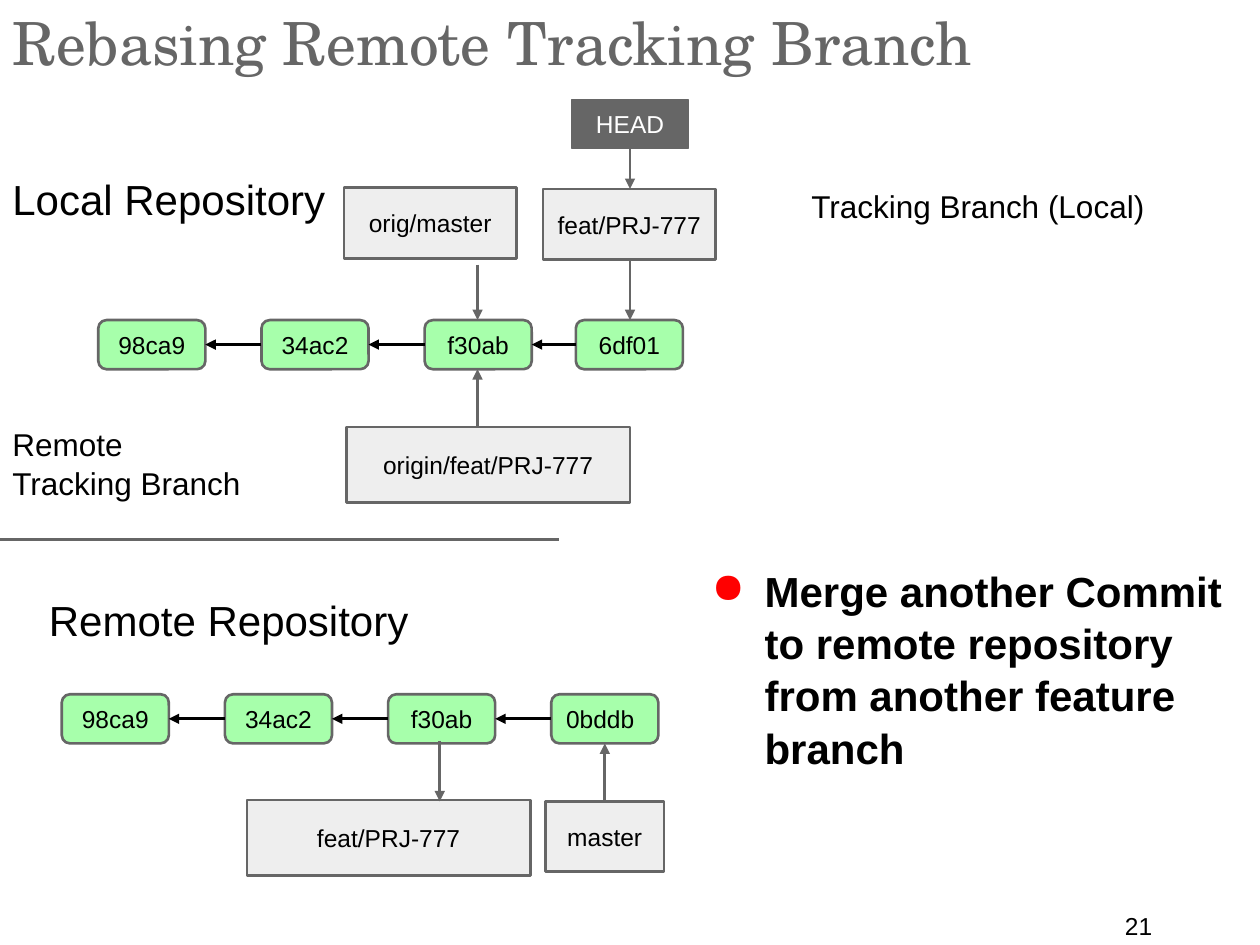
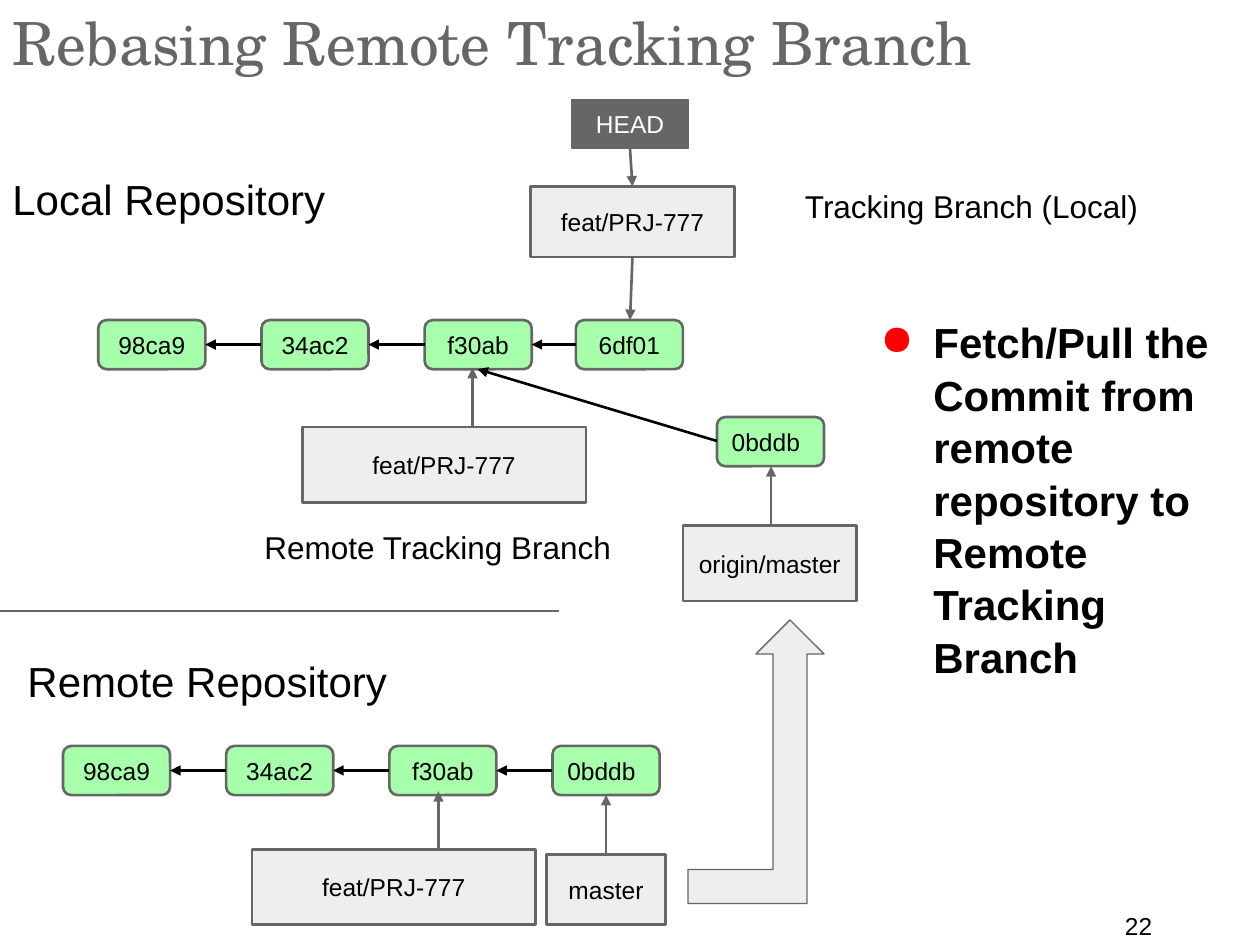
from dataclasses import dataclass
from typing import Any, Optional

from lxml import etree
from pptx import Presentation
from pptx.dml.color import RGBColor
from pptx.enum.shapes import MSO_CONNECTOR, MSO_SHAPE
from pptx.enum.text import MSO_ANCHOR, MSO_AUTO_SIZE, PP_ALIGN
from pptx.oxml.ns import qn
from pptx.util import Inches, Pt

RECTANGLE = MSO_SHAPE.RECTANGLE
ROUNDED = MSO_SHAPE.ROUNDED_RECTANGLE
BENT_ARROW = MSO_SHAPE.BENT_UP_ARROW
STRAIGHT = MSO_CONNECTOR.STRAIGHT
TOP, MIDDLE = MSO_ANCHOR.TOP, MSO_ANCHOR.MIDDLE
LEFT, CENTER = PP_ALIGN.LEFT, PP_ALIGN.CENTER
NO_FIT = MSO_AUTO_SIZE.NONE

SLIDE_WIDTH, SLIDE_HEIGHT = Inches(10), Inches(7.5)
COLUMN, ROW = SLIDE_WIDTH / 100, SLIDE_HEIGHT / 75
COLORS = {
    "grey": "666666",
    "light": "EEEEEE",
    "green": "A7FFAB",
    "black": "000000",
    "white": "FFFFFF",
    "bullet": "FF0000",
}
BODY_FONT, TITLE_FONT = "Arial", "TeX Gyre Schola"
TITLE = "Rebasing Remote Tracking Branch"
TITLE_ONLY_LAYOUT = 5
LEFT_SITE, RIGHT_SITE = 1, 3
COMMIT_WIDTH, COMMIT_HEIGHT, COMMIT_PITCH = 8.5, 3.9, 12.95
DIVIDER_END = 44.4


@dataclass(frozen=True)
class Box:
    column: float
    row: float
    columns: float
    rows: float
    text: str = ""
    fill: str = "light"
    color: str = "black"
    line_width: float = 1.5
    kind: Any = RECTANGLE
    align: Any = CENTER


@dataclass(frozen=True)
class Label:
    column: float
    row: float
    columns: float
    rows: float
    text: str
    size: int = 18
    bullet: bool = False
    margin: float = 0.1


@dataclass(frozen=True)
class Line:
    column: float
    row: float
    end_column: float
    end_row: float
    color: str = "grey"
    arrow: bool = True


@dataclass(frozen=True)
class CommitRow:
    row: float
    columns: tuple[float, ...]
    names: tuple[str, ...]


@dataclass(frozen=True)
class Scene:
    number: int
    commits: tuple[CommitRow, ...]
    boxes: tuple[Box, ...]
    labels: tuple[Label, ...]
    lines: tuple[Line, ...]


def evenly_spaced(start: float, count: int) -> tuple[float, ...]:
    return tuple(start + COMMIT_PITCH * index for index in range(count))


def commit(column: float, row: float, name: str) -> Box:
    align = LEFT if name == "0bddb" else CENTER
    return Box(column, row, COMMIT_WIDTH, COMMIT_HEIGHT, name, "green",
               kind=ROUNDED, align=align)


LOCAL_COMMITS = CommitRow(25.4, evenly_spaced(7.8, 3) + (45.7,),
                          ("98ca9", "34ac2", "f30ab", "6df01"))
REMOTE_NAMES = ("98ca9", "34ac2", "f30ab", "0bddb")
HEAD = Box(45.4, 7.9, 9.2, 3.9, "HEAD", "grey", "white", 0.75)
LOCAL_LABEL = Label(0, 12.6, 29.2, 6, "Local Repository", 24)

SCENES = (
    Scene(
        21,
        (LOCAL_COMMITS, CommitRow(55.1, evenly_spaced(4.9, 4), REMOTE_NAMES)),
        (
            HEAD,
            Box(43.1, 15, 13.7, 5.6, "feat/PRJ-777"),
            Box(27.3, 14.9, 13.7, 5.6, "orig/master"),
            Box(27.5, 33.9, 22.5, 6, "origin/feat/PRJ-777"),
            Box(19.6, 63.5, 22.5, 6, "feat/PRJ-777"),
            Box(43.3, 63.6, 9.4, 5.6, "master"),
        ),
        (
            LOCAL_LABEL,
            Label(2.9, 46, 35, 6, "Remote Repository", 24),
            Label(0, 32.6, 20.7, 7.7, "Remote Tracking Branch"),
            Label(63.4, 13.7, 33.2, 7.7, "Tracking Branch (Local)"),
            Label(54.7, 43.7, 45.3, 21.5,
                  "Merge another Commit to remote repository from another "
                  "feature branch", 24, True),
        ),
        (
            Line(50, 11.8, 50, 15),
            Line(50, 20.6, 50, 25.4),
            Line(37.9, 21, 37.9, 25.4),
            Line(37.9, 33.9, 37.9, 29.3),
            Line(34.9, 58.8, 34.9, 63.6),
            Line(48, 63.6, 48, 59),
            Line(0, 42.8, DIVIDER_END, 42.8, arrow=False),
        ),
    ),
    Scene(
        22,
        (LOCAL_COMMITS, CommitRow(59.2, evenly_spaced(5, 4), REMOTE_NAMES)),
        (
            HEAD,
            Box(42.1, 14.8, 16.2, 5.6, "feat/PRJ-777"),
            Box(24, 33.9, 22.5, 6, "feat/PRJ-777"),
            commit(56.9, 33.1, "0bddb"),
            Box(54.2, 41.7, 13.8, 6, "origin/master"),
            Box(20, 67.4, 22.5, 6, "feat/PRJ-777"),
            Box(43.4, 67.8, 9.4, 5.6, "master"),
            Box(54.6, 49.2, 10.8, 22.5, line_width=0.75, kind=BENT_ARROW),
        ),
        (
            LOCAL_LABEL,
            Label(1.2, 50.9, 35, 6, "Remote Repository", 24),
            Label(20, 40.8, 30.6, 7.7, "Remote Tracking Branch"),
            Label(62.9, 13.7, 33.2, 7.7, "Tracking Branch (Local)"),
            Label(68.1, 24, 30.6, 49.3,
                  "Fetch/Pull the Commit from remote repository to Remote "
                  "Tracking Branch", 24, True),
        ),
        (
            Line(50, 11.8, 50.2, 14.8),
            Line(50.2, 20.4, 50, 25.4),
            Line(37.5, 33.9, 37.5, 29.2),
            Line(56.9, 35, 37.9, 29.3, "black"),
            Line(61.2, 41.7, 61.2, 37),
            Line(34.8, 67.4, 34.8, 62.8),
            Line(48.1, 67.8, 48.1, 63.1),
            Line(0, 48.5, DIVIDER_END, 48.5, arrow=False),
        ),
    ),
)


def rgb(name: str) -> RGBColor:
    return RGBColor.from_string(COLORS[name])


def apply(target: Any, values: dict[str, Any]) -> None:
    for name, value in values.items():
        setattr(target, name, value)


def place(column: float, row: float, columns: float, rows: float) -> tuple[int, ...]:
    return (round(column * COLUMN), round(row * ROW),
            round(columns * COLUMN), round(rows * ROW))


def add_bullet(paragraph: Any) -> None:
    properties = paragraph._p.get_or_add_pPr()
    properties.set("marL", str(Inches(0.5)))
    properties.set("indent", str(Inches(-0.42)))
    bullet_color = etree.SubElement(properties, qn("a:buClr"))
    etree.SubElement(bullet_color, qn("a:srgbClr")).set("val", COLORS["bullet"])
    etree.SubElement(properties, qn("a:buChar")).set("char", "●")


def write(shape: Any, text: str, size: int, color: str = "black",
          font: str = BODY_FONT, align: Any = LEFT, anchor: Any = TOP,
          margin: float = 0.1, bold: bool = False, bullet: bool = False,
          spacing: Optional[float] = None) -> None:
    frame = shape.text_frame
    apply(frame, {
        "word_wrap": True, "auto_size": NO_FIT, "vertical_anchor": anchor,
        "margin_left": Inches(0.1), "margin_right": Inches(0.1),
        "margin_top": Inches(margin), "margin_bottom": Inches(margin),
    })
    frame.text = text
    paragraph = frame.paragraphs[0]
    if bullet:
        add_bullet(paragraph)
    apply(paragraph, {"alignment": align, "line_spacing": spacing})
    run_font = paragraph.runs[0].font
    apply(run_font, {"name": font, "size": Pt(size), "bold": bold})
    run_font.color.rgb = rgb(color)


def draw_box(slide: Any, box: Box) -> Any:
    shape = slide.shapes.add_shape(
        box.kind, *place(box.column, box.row, box.columns, box.rows))
    shape.shadow.inherit = False
    shape.fill.solid()
    shape.fill.fore_color.rgb = rgb(box.fill)
    shape.line.color.rgb = rgb("grey")
    shape.line.width = Pt(box.line_width)
    if box.text:
        write(shape, box.text, 14, box.color, align=box.align, anchor=MIDDLE)
    return shape


def draw_label(slide: Any, label: Label) -> None:
    shape = slide.shapes.add_textbox(
        *place(label.column, label.row, label.columns, label.rows))
    write(shape, label.text, label.size, margin=label.margin,
          bold=label.bullet, bullet=label.bullet, spacing=1.04)


def draw_line(slide: Any, line: Line) -> Any:
    connector = slide.shapes.add_connector(
        STRAIGHT, *place(line.column, line.row, line.end_column, line.end_row))
    connector.line.color.rgb = rgb(line.color)
    connector.line.width = Pt(1.5)
    if line.arrow:
        outline = connector.line._get_or_add_ln()
        etree.SubElement(outline, qn("a:tailEnd")).set("type", "triangle")
    etree.SubElement(connector._element.spPr, qn("a:effectLst"))
    return connector


def draw_commits(slide: Any, commits: CommitRow) -> None:
    shapes = [draw_box(slide, commit(column, commits.row, name))
              for column, name in zip(commits.columns, commits.names)]
    for parent, child in zip(shapes, shapes[1:]):
        arrow = draw_line(slide, Line(0, 0, 0, 0, "black"))
        arrow.begin_connect(child, LEFT_SITE)
        arrow.end_connect(parent, RIGHT_SITE)


def draw_scene(presentation: Any, scene: Scene) -> None:
    slide = presentation.slides.add_slide(
        presentation.slide_layouts[TITLE_ONLY_LAYOUT])
    title = slide.shapes.title
    left, top, width, height = place(0, 0, 100, 6)
    apply(title, {"left": left, "top": top, "width": width, "height": height})
    write(title, TITLE, 34, "grey", TITLE_FONT, margin=0.05)
    for commits in scene.commits:
        draw_commits(slide, commits)
    for box in scene.boxes:
        draw_box(slide, box)
    for line in scene.lines:
        draw_line(slide, line)
    page_number = Label(88.3, 71.7, 9.2, 2.5, str(scene.number), 14, margin=0.05)
    for label in (*scene.labels, page_number):
        draw_label(slide, label)


def main() -> None:
    presentation = Presentation()
    apply(presentation, {"slide_width": SLIDE_WIDTH, "slide_height": SLIDE_HEIGHT})
    for scene in SCENES:
        draw_scene(presentation, scene)
    presentation.save("out.pptx")


if __name__ == "__main__":
    main()
